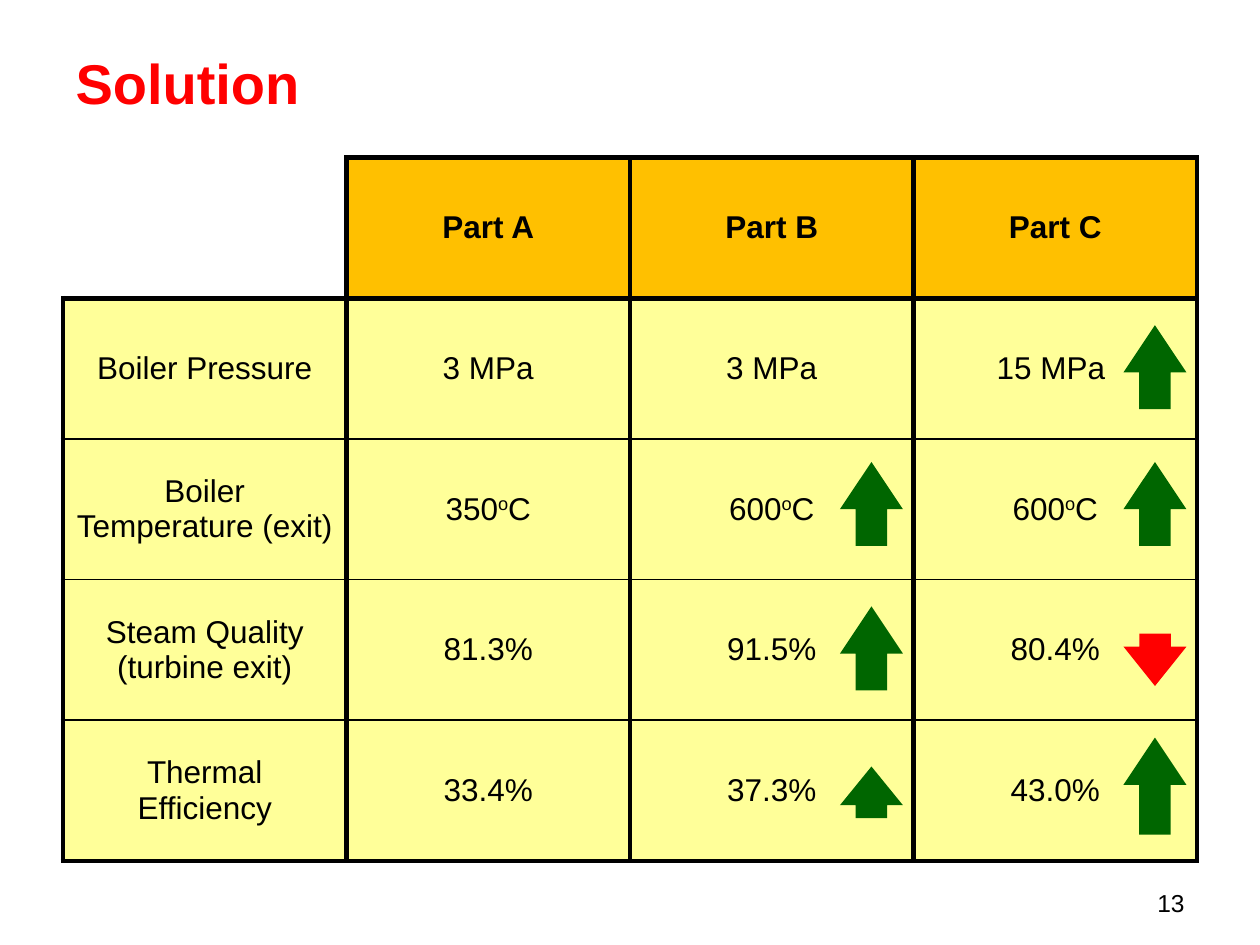
from lxml.etree import SubElement
from pptx import Presentation
from pptx.dml.color import RGBColor
from pptx.enum.shapes import MSO_SHAPE as Shape
from pptx.enum.text import MSO_ANCHOR as Anchor, PP_ALIGN as Align
from pptx.oxml.ns import qn
from pptx.util import Pt

RED = RGBColor(0xFF, 0x00, 0x00)
GREEN = RGBColor(0x00, 0x66, 0x00)
AMBER = RGBColor(0xFF, 0xC0, 0x00)
YELLOW = RGBColor(0xFF, 0xFF, 0x99)
BLACK = RGBColor(0x00, 0x00, 0x00)
WHITE = RGBColor(0xFF, 0xFF, 0xFF)
FONT = "Arial"
THICK, THIN = 3, 1

RESULTS = [
    ["", "Part A", "Part B", "Part C"],
    ["Boiler Pressure", "3 MPa", "3 MPa", "15 MPa "],
    ["Boiler Temperature (exit)", "350^o^C", "600^o^C", "600^o^C"],
    ["Steam Quality (turbine exit)", "81.3%", "91.5%", "80.4%"],
    ["Thermal Efficiency", "33.4%", "37.3%", "43.0%"],
]
PART_B_X, PART_C_X = 480, 642
ARROWS = [
    (PART_C_X, 362, 30, False),
    (PART_C_X, 185.8, 48, True),
    (PART_B_X, 264, 48, True),
    (PART_C_X, 264, 48, True),
    (PART_B_X, 346.5, 48, True),
    (PART_B_X, 438, 29.5, True),
    (PART_C_X, 421.5, 55.5, True),
]


def write(para, text, size, color=BLACK, bold=False, align=Align.LEFT):
    """Write text run by run; parts between carets are superscript."""
    para.alignment = align
    for index, part in enumerate(text.split("^")):
        span = para.add_run()
        span.text = part
        span.font.name, span.font.size = FONT, Pt(size)
        span.font.bold, span.font.color.rgb = bold, color
        if index % 2:
            span.font._element.set("baseline", "30000")


def add_title(page, left, top, width, height):
    """Place the slide title in its placeholder."""
    title = page.shapes.title
    title.left, title.top = Pt(left), Pt(top)
    title.width, title.height = Pt(width), Pt(height)
    title.text_frame.vertical_anchor = Anchor.MIDDLE
    write(title.text_frame.paragraphs[0], "Solution", 32, RED, True)


def set_borders(cell, **sides):
    """Draw the cell borders, each given as a width and a colour."""
    properties = cell._tc.get_or_add_tcPr()
    for side in "LRTB":
        width, color = sides[side]
        line = SubElement(properties, qn(f"a:ln{side}"), w=str(Pt(width)))
        fill = SubElement(line, qn("a:solidFill"))
        SubElement(fill, qn("a:srgbClr"), val=str(color))


def style_cell(cell, row, column):
    """Give a cell its borders, fill and anchor by its place in the table."""
    header, corner = row == 0, row == column == 0
    outer = (THIN, WHITE) if corner else (THICK, BLACK)
    set_borders(
        cell,
        L=outer,
        R=(THICK, BLACK),
        T=outer if row < 2 else (THIN, BLACK),
        B=(THICK if row in (0, len(RESULTS) - 1) else THIN, BLACK),
    )
    cell.fill.solid()
    cell.fill.fore_color.rgb = WHITE if corner else AMBER if header else YELLOW
    cell.vertical_anchor = Anchor.MIDDLE


def add_results(page, left, top, width, height):
    """Place the table that compares the three parts."""
    rows, columns = len(RESULTS), len(RESULTS[0])
    frame = page.shapes.add_table(
        rows, columns, Pt(left), Pt(top), Pt(width), Pt(height))
    table = frame.table
    table.horz_banding = table.first_row = False
    for row, texts in enumerate(RESULTS):
        for column, text in enumerate(texts):
            cell = table.cell(row, column)
            style_cell(cell, row, column)
            if text:
                write(cell.text_frame.paragraphs[0], text, 18,
                      bold=row == 0, align=Align.CENTER)


def add_page_number(page, left, top, width, height):
    """Place the page number at the lower right."""
    box = page.shapes.add_textbox(Pt(left), Pt(top), Pt(width), Pt(height))
    box.text_frame.word_wrap = True
    write(box.text_frame.paragraphs[0], "13", 14, align=Align.RIGHT)


def add_trend_arrow(page, left, top, width, height, rising):
    """Place a green arrow for a rise or a red one for a fall."""
    arrow = page.shapes.add_shape(
        Shape.UP_ARROW, Pt(left), Pt(top), Pt(width), Pt(height))
    arrow.adjustments[0], arrow.adjustments[1] = 0.5, 0.75
    arrow.rotation = 0 if rising else 180
    arrow.shadow.inherit = False
    arrow.fill.solid()
    arrow.fill.fore_color.rgb = GREEN if rising else RED
    arrow.line.fill.background()


def main():
    """Build and save the slide."""
    deck = Presentation()
    deck.slide_width, deck.slide_height = Pt(720), Pt(540)
    page = deck.slides.add_slide(deck.slide_layouts[5])
    add_title(page, 36, 21.6, 648, 50.4)
    add_results(page, 36, 90, 648, 402)
    add_page_number(page, 516, 504, 168, 25)
    for left, top, height, rising in ARROWS:
        add_trend_arrow(page, left, top, 36, height, rising)
    deck.save("out.pptx")


if __name__ == "__main__":
    main()
